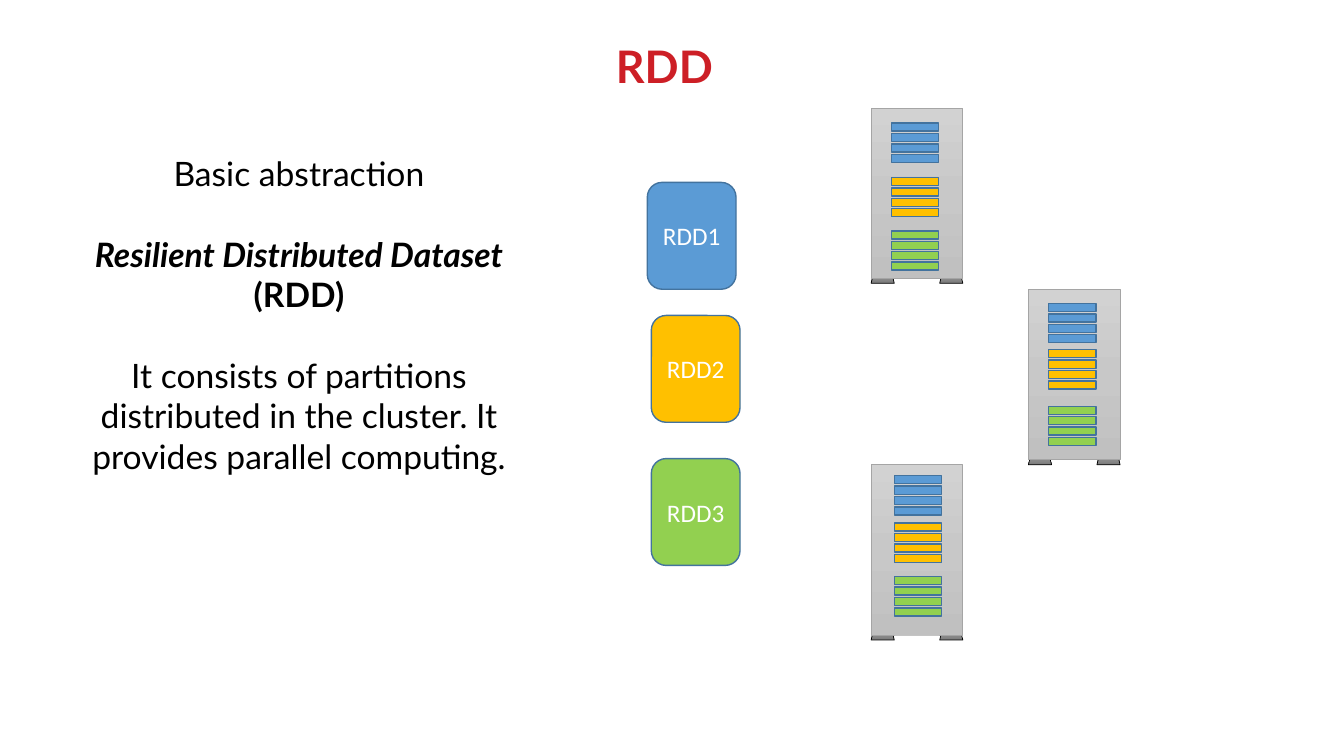
from copy import deepcopy

from pptx import Presentation
from pptx.dml.color import RGBColor
from pptx.enum.shapes import MSO_SHAPE as SHAPE
from pptx.enum.text import MSO_ANCHOR as ANCHOR, MSO_AUTO_SIZE as AUTO_SIZE, PP_ALIGN as ALIGN
from pptx.oxml.ns import qn
from pptx.util import Inches, Pt

TITLE = "RDD"
STATEMENTS = [
    [("Basic abstraction", False, False)],
    [("Resilient Distributed Dataset", True, True), (" (RDD)", True, False)],
    [("It consists of partitions distributed in the cluster. "
      "It provides parallel computing.", False, False)],
]
RDDS = [
    ("RDD1", "5B9BD5", 6.42, 1.81),
    ("RDD2", "FFC000", 6.46, 3.13),
    ("RDD3", "92D050", 6.46, 4.55),
]
SERVERS = [
    (8.64, 4.61, 8.87, (4.72, 5.19, 5.72)),
    (10.2, 2.87, 10.4, (3.01, 3.47, 4.03)),
    (8.64, 1.07, 8.84, (1.22, 1.76, 2.29)),
]
FOOT_SHADES = ("9D9D9D", "909090", "7C7C7C")
CABINET_SHADES = ("D2D2D2", "C8C8C8", "C0C0C0")
OUTLINE = "43739E"
PARTITIONS = 4
PARTITION_STEP = 0.31 / 3
FOOT_OFFSETS = (0, 0.68)


def color(hex_code):
    return RGBColor.from_string(hex_code)


def place(shape, left, top, width, height):
    shape.left, shape.top = Inches(left), Inches(top)
    shape.width, shape.height = Inches(width), Inches(height)


def add_outlined(shapes, kind, box, outline, weight):
    shape = shapes.add_shape(kind, *map(Inches, box))
    shape.shadow.inherit = False
    shape.line.color.rgb = color(outline)
    shape.line.width = Pt(weight)
    return shape


def add_solid(shapes, kind, box, fill):
    shape = add_outlined(shapes, kind, box, OUTLINE, 1)
    shape.fill.solid()
    shape.fill.fore_color.rgb = color(fill)
    return shape


def add_shaded(shapes, kind, box, shades, outline):
    shape = add_outlined(shapes, kind, box, outline, 0.5)
    shape.fill.gradient()
    shape.fill.gradient_angle = 270
    stop_list = shape._element.spPr.find(".//" + qn("a:gsLst"))
    stop_list.insert(1, deepcopy(stop_list[0]))
    for stop, position, shade in zip(shape.fill.gradient_stops, (0, 0.5, 1), shades):
        stop.position = position
        stop.color.rgb = color(shade)


def add_title(slide):
    title = slide.shapes.title
    place(title, 1.59, 0.23, 10, 0.74)
    title.text_frame.vertical_anchor = ANCHOR.BOTTOM
    title.text_frame.text = TITLE
    heading = title.text_frame.paragraphs[0]
    heading.alignment = ALIGN.CENTER
    heading.line_spacing = 0.9
    heading.font.name, heading.font.size, heading.font.bold = "Lato", Pt(32), True
    heading.font.color.rgb = color("CD1F26")


def add_statements(slide):
    body = slide.placeholders[1]
    place(body, 0.64, 1.47, 4.65, 3.74)
    frame = body.text_frame
    frame.word_wrap = True
    frame.auto_size = AUTO_SIZE.NONE
    frame.vertical_anchor = ANCHOR.TOP
    for index, pieces in enumerate(STATEMENTS):
        statement = frame.add_paragraph() if index else frame.paragraphs[0]
        statement.alignment = ALIGN.CENTER
        statement.space_before = Pt(28.8 if index else 0)
        statement.font.name, statement.font.size = "Lato", Pt(24)
        statement.font.color.rgb = color("000000")
        for text, bold, italic in pieces:
            run = statement.add_run()
            run.text = text
            run.font.bold, run.font.italic = bold, italic


def add_rdd(slide, name, fill, left, top):
    rdd = add_solid(slide.shapes, SHAPE.ROUNDED_RECTANGLE, (left, top, 0.88, 1.06), fill)
    rdd.text_frame.text = name
    rdd.text_frame.vertical_anchor = ANCHOR.MIDDLE
    label = rdd.text_frame.paragraphs[0]
    label.alignment = ALIGN.CENTER
    label.font.name, label.font.size = "Calibri", Pt(18)
    label.font.color.rgb = color("FFFFFF")


def add_server(slide, left, top, partition_left, partition_tops):
    server = slide.shapes.add_group_shape().shapes
    for offset in FOOT_OFFSETS:
        foot = (left + offset, top + 1.62, 0.23, 0.12)
        add_shaded(server, SHAPE.TRAPEZOID, foot, FOOT_SHADES, "000000")
    add_shaded(server, SHAPE.RECTANGLE, (left, top, 0.91, 1.69), CABINET_SHADES, "A5A5A5")
    for (_, fill, _, _), first_top in zip(RDDS, partition_tops):
        partitions = slide.shapes.add_group_shape().shapes
        for index in range(PARTITIONS):
            partition = (partition_left, first_top + index * PARTITION_STEP, 0.47, 0.08)
            add_solid(partitions, SHAPE.RECTANGLE, partition, fill)


def main():
    deck = Presentation()
    deck.slide_width, deck.slide_height = Inches(13.33), Inches(7.5)
    slide = deck.slides.add_slide(deck.slide_layouts[0])
    add_title(slide)
    add_statements(slide)
    for server in SERVERS:
        add_server(slide, *server)
    for rdd in RDDS:
        add_rdd(slide, *rdd)
    deck.save("out.pptx")


if __name__ == "__main__":
    main()
